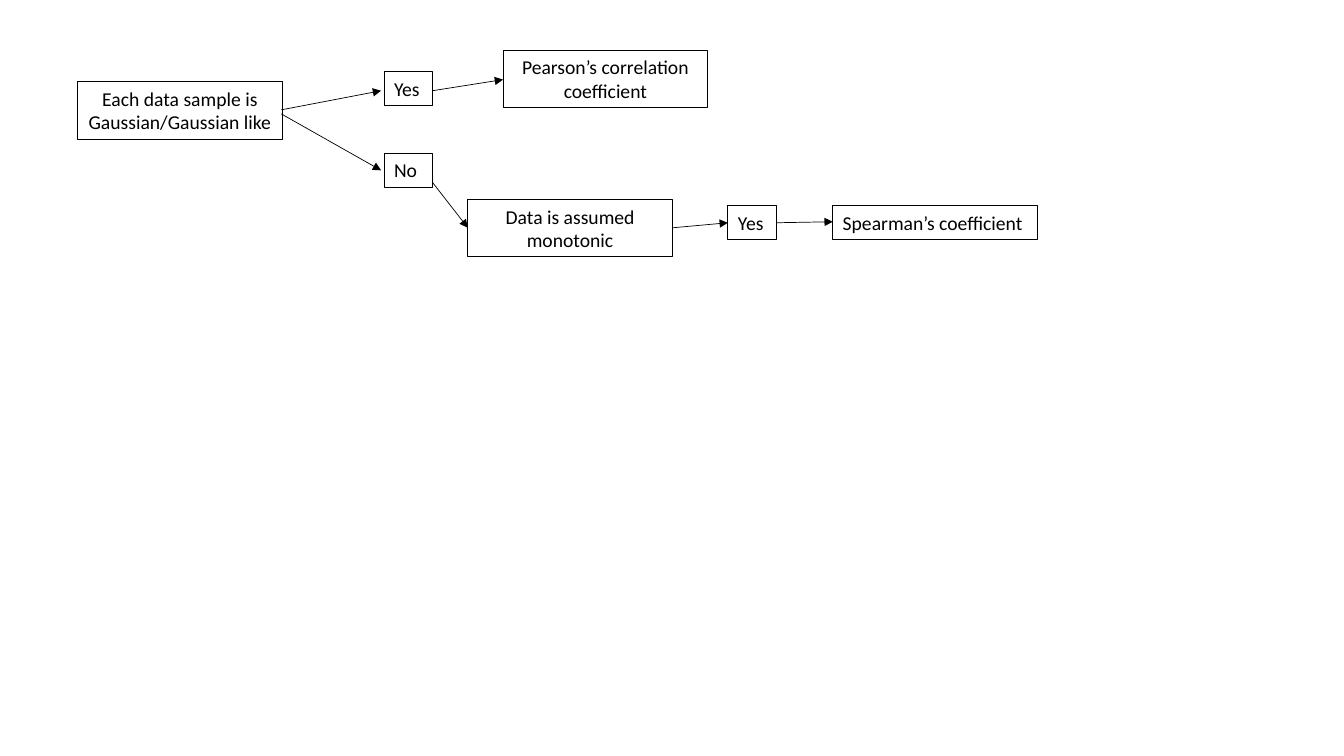
from lxml import etree
from pptx import Presentation
from pptx.dml.color import RGBColor
from pptx.enum.shapes import MSO_CONNECTOR
from pptx.enum.text import MSO_AUTO_SIZE, PP_ALIGN
from pptx.oxml.ns import qn
from pptx.util import Inches, Pt

STRAIGHT = MSO_CONNECTOR.STRAIGHT
GROW = MSO_AUTO_SIZE.SHAPE_TO_FIT_TEXT
LEFT, CENTER = PP_ALIGN.LEFT, PP_ALIGN.CENTER

COLORS = {"ink": "000000"}
WIDE, NARROW = 2.03, 0.48
TALL, SHORT = 0.57, 0.34


class FlowSlide:
    """Holds the flowchart style and the slide being drawn."""

    font = "Calibri"
    font_size = 14
    box_line = 0.75
    arrow_line = 0.5

    def __init__(self, slide):
        self.slide = slide
        self.ink = RGBColor.from_string(COLORS["ink"])

    def box(self, text, left, top, width, height, align):
        shape = self.slide.shapes.add_textbox(
            Inches(left), Inches(top), Inches(width), Inches(height))
        shape.line.color.rgb = self.ink
        shape.line.width = Pt(self.box_line)
        frame = shape.text_frame
        frame.word_wrap = True
        frame.auto_size = GROW
        frame.text = text
        paragraph = frame.paragraphs[0]
        paragraph.alignment = align
        font = paragraph.runs[0].font
        font.name = self.font
        font.size = Pt(self.font_size)
        font.color.rgb = self.ink

    def arrow(self, start, end):
        connector = self.slide.shapes.add_connector(
            STRAIGHT, *(Inches(value) for value in start + end))
        connector.line.color.rgb = self.ink
        connector.line.width = Pt(self.arrow_line)
        line = connector.line._get_or_add_ln()
        etree.SubElement(line, qn("a:tailEnd"), type="triangle")
        etree.SubElement(connector._element.spPr, qn("a:effectLst"))


presentation = Presentation()
presentation.slide_width = Inches(13.33)
presentation.slide_height = Inches(7.5)
blank_layout = presentation.slide_layouts[6]
flow = FlowSlide(presentation.slides.add_slide(blank_layout))

# Two-line questions and outcome
for text, left, top in (
    ("Each data sample is Gaussian/Gaussian like", 0.77, 0.81),
    ("Pearson’s correlation coefficient", 4.99, 0.5),
    ("Data is assumed monotonic", 4.64, 1.98),
):
    flow.box(text, left, top, WIDE, TALL, CENTER)

# One-line answers and outcome
for text, left, top, width in (
    ("Yes", 3.81, 0.71, NARROW),
    ("No", 3.81, 1.52, NARROW),
    ("Yes", 7.22, 2.04, NARROW),
    ("Spearman’s coefficient", 8.26, 2.04, WIDE),
):
    flow.box(text, left, top, width, SHORT, LEFT)

# Arrows between the steps
for start, end in (
    ((2.79, 1.09), (3.78, 0.9)),
    ((4.29, 0.9), (4.99, 0.79)),
    ((2.79, 1.13), (3.78, 1.69)),
    ((4.29, 1.81), (4.64, 2.26)),
    ((6.67, 2.26), (7.22, 2.21)),
    ((7.7, 2.21), (8.26, 2.2)),
):
    flow.arrow(start, end)

presentation.save("out.pptx")
